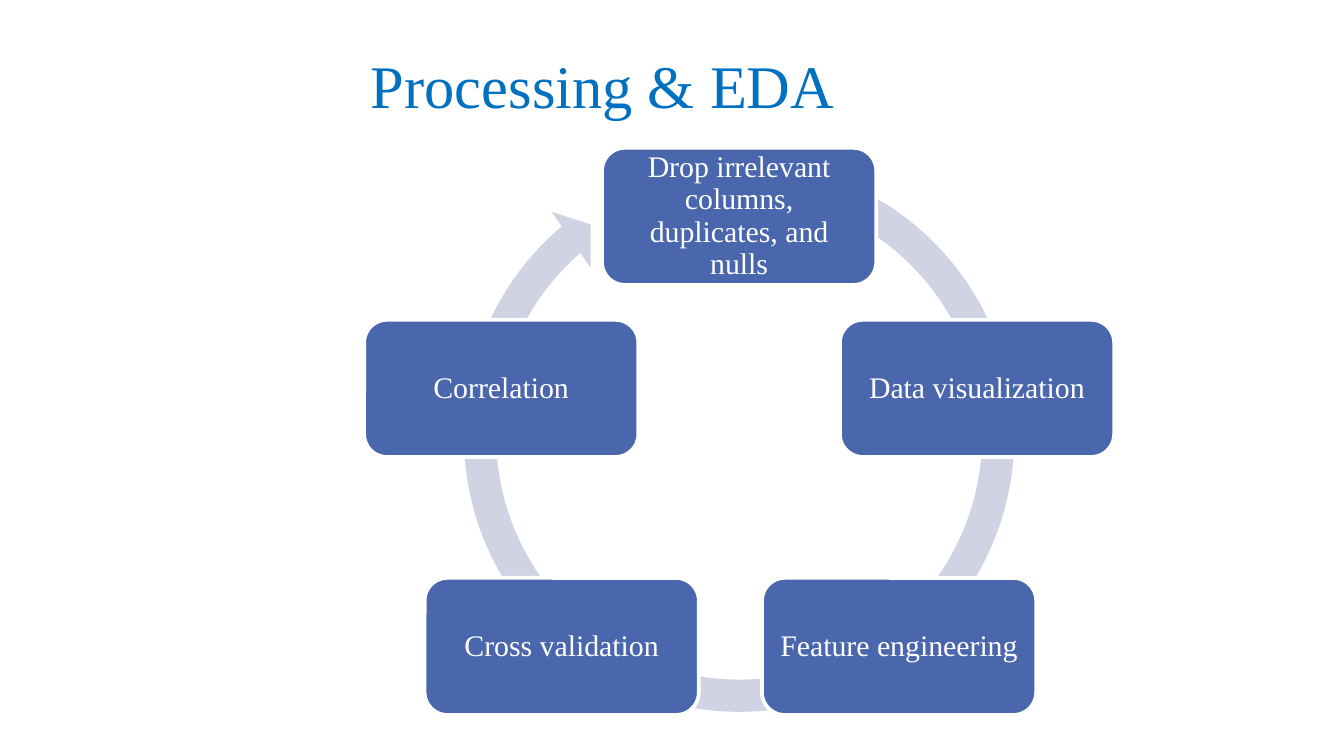
from dataclasses import dataclass

from pptx import Presentation
from pptx.dml.color import RGBColor
from pptx.enum.shapes import MSO_SHAPE
from pptx.enum.text import MSO_ANCHOR, MSO_AUTO_SIZE, PP_ALIGN
from pptx.util import Inches, Pt

RING = MSO_SHAPE.CIRCULAR_ARROW
CARD = MSO_SHAPE.ROUNDED_RECTANGLE
MIDDLE = MSO_ANCHOR.MIDDLE
FIXED = MSO_AUTO_SIZE.NONE
LEFT, CENTER = PP_ALIGN.LEFT, PP_ALIGN.CENTER


@dataclass(frozen=True)
class Theme:
    """Colours, font and type sizes of the slide."""
    title: RGBColor = RGBColor(0x00, 0x70, 0xC0)
    card: RGBColor = RGBColor(0x4A, 0x66, 0xAC)
    ring: RGBColor = RGBColor(0xD0, 0xD3, 0xE3)
    white: RGBColor = RGBColor(0xFF, 0xFF, 0xFF)
    font: str = "Times New Roman"
    head: float = 32.4
    body: float = 16


THEME = Theme()
WIDTH = 10
HEIGHT = WIDTH * 9 / 16
TITLE_BOX = (2.66, 0.31, 6.85, 0.63)
CYCLE_BOX = (2.71, 1.07, 5.58, 4.36)
CARD_SIZE = (2.04, 1.02)
RING_BENDS = (0.055, 3.307, 137.72, 173.883, 0.058)
STEPS = (
    ("Drop irrelevant columns, duplicates, and nulls", 1.77, 0.03),
    ("Data visualization", 3.54, 1.31),
    ("Feature engineering", 2.96, 3.23),
    ("Cross validation", 0.45, 3.23),
    ("Correlation", 0, 1.31),
)


def write(frame, text, size, color, align, pitch):
    """Write one styled run into a middle-anchored frame."""
    frame.word_wrap = True
    frame.auto_size = FIXED
    frame.vertical_anchor = MIDDLE
    para = frame.paragraphs[0]
    para.alignment = align
    para.line_spacing = pitch
    run = para.add_run()
    run.text = text
    run.font.name = THEME.font
    run.font.size = Pt(size)
    run.font.color.rgb = color


def add_title(slide, box, text):
    """Place the title placeholder in its box."""
    title = slide.shapes.title
    title.left, title.top, title.width, title.height = map(Inches, box)
    write(title.text_frame, text, THEME.head, THEME.title, LEFT, 1.0)


def add_form(group, kind, box, fill):
    """Add a flat filled shape without an outline."""
    form = group.shapes.add_shape(kind, *map(Inches, box))
    form.shadow.inherit = False
    form.fill.solid()
    form.fill.fore_color.rgb = fill
    form.line.fill.background()
    return form


def add_card(group, box, text):
    """Add one step of the cycle."""
    card = add_form(group, CARD, box, THEME.card)
    card.line.color.rgb = THEME.white
    card.line.width = Pt(2)
    frame = card.text_frame
    frame.margin_left = frame.margin_right = Inches(0.07)
    frame.margin_top = frame.margin_bottom = Inches(0.07)
    write(frame, text, THEME.body, THEME.white, CENTER, 0.9)


def add_cycle(slide, box, steps):
    """Place the ring arrow and its steps in the box."""
    left, top, width, height = box
    group = slide.shapes.add_group_shape()
    start = left + (width - height) / 2
    ring = add_form(group, RING, (start, top, height, height), THEME.ring)
    for index, bend in enumerate(RING_BENDS):
        ring.adjustments[index] = bend
    for text, across, down in steps:
        add_card(group, (left + across, top + down, *CARD_SIZE), text)


def main():
    """Build and save the slide."""
    deck = Presentation()
    deck.slide_width, deck.slide_height = Inches(WIDTH), Inches(HEIGHT)
    slide = deck.slides.add_slide(deck.slide_layouts[5])
    add_title(slide, TITLE_BOX, "Processing & EDA")
    add_cycle(slide, CYCLE_BOX, STEPS)
    deck.save("out.pptx")


if __name__ == "__main__":
    main()
